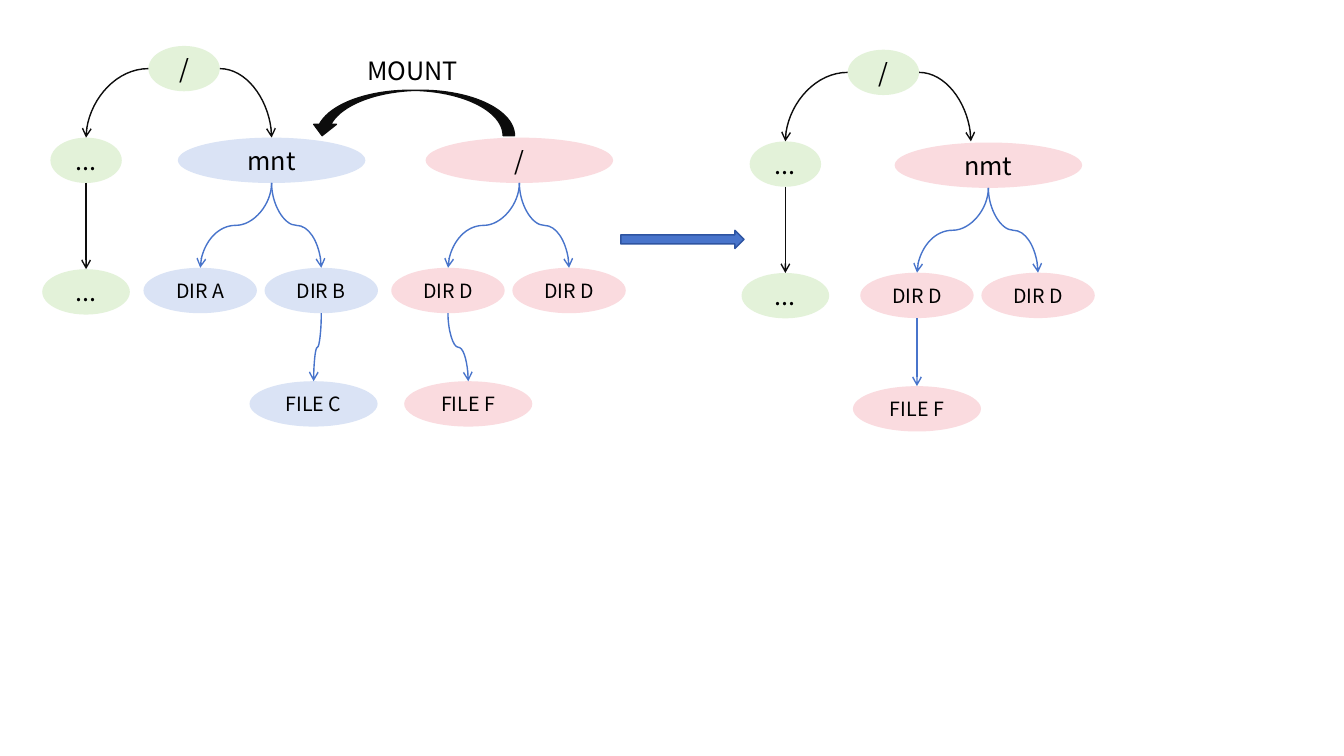
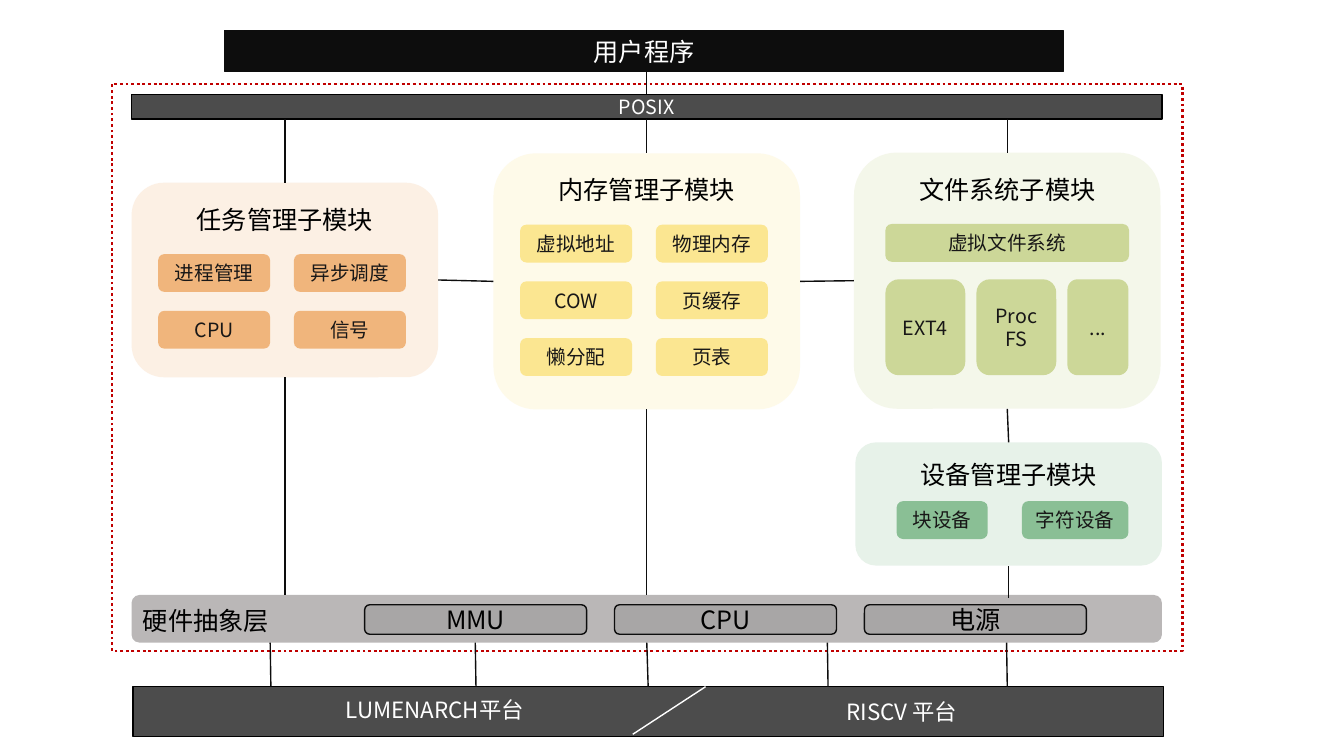
from dataclasses import dataclass
from itertools import product

from pptx import Presentation
from pptx import util as u
from pptx.dml import color
from pptx.enum import dml, shapes, text
from pptx.oxml import ns
from lxml import etree

FONT = "Noto Sans CJK JP"
BLACK, INK, WHITE = "000000", "0D0D0D", "FFFFFF"
CELL_TEXT, BAR, BLUE = "181717", "4C4C4C", "4874CB"
GREEN, PALE_BLUE, PINK = "E3F2D9", "DAE3F5", "FADBDF"
ORANGE, YELLOW, OLIVE, MINT = "F0B57C", "FBE691", "CCD798", "8ABF95"
KIND = shapes.MSO_SHAPE
NODE_H = 32.4
MODULE_W = 219


@dataclass
class Node:
    label: str
    x: float
    y: float
    w: float
    fill: str
    size: int = 14

    @property
    def top(self) -> tuple:
        return self.x, self.y - NODE_H / 2

    @property
    def bottom(self) -> tuple:
        return self.x, self.y + NODE_H / 2


@dataclass
class Tree:
    mount: str
    x: float
    y: float
    fill: str
    children: tuple
    leaf: str
    leaf_parent: int
    leaf_dx: float


@dataclass
class Cell:
    label: str
    x: float
    y: float
    w: float = 80
    h: float = 27


@dataclass
class Module:
    title: str
    x: float
    y: float
    h: float
    fill: str
    cells: list
    title_dy: float = 13


def rgb(value: str) -> color.RGBColor:
    return color.RGBColor.from_string(value)


def sub(parent, tag: str, **attrs: str):
    return etree.SubElement(parent, ns.qn(tag), attrs)


def write(sp, label: str, *, size: float = 14, ink: str = BLACK,
          align=text.PP_ALIGN.CENTER) -> None:
    tf = sp.text_frame
    tf.word_wrap = True
    tf.vertical_anchor = text.MSO_ANCHOR.MIDDLE
    tf.margin_top = tf.margin_bottom = 0
    p = tf.paragraphs[0]
    p.text = label
    p.alignment = align
    for r in p.runs:
        r.font.size = u.Pt(size)
        r.font.name = FONT
        r.font.color.rgb = rgb(ink)
        sub(r.font._element, "a:ea", typeface=FONT)


def label_box(s, label: str, x: float, y: float, w: float, h: float, **fmt):
    sp = s.shapes.add_textbox(u.Pt(x), u.Pt(y), u.Pt(w), u.Pt(h))
    write(sp, label, **fmt)
    return sp


def draw_shape(s, kind, x: float, y: float, w: float, h: float, *,
               fill: str = "", alpha: int = 100, line: str = "",
               weight: float = 1, label: str = "", **fmt):
    sp = s.shapes.add_shape(kind, u.Pt(x), u.Pt(y), u.Pt(w), u.Pt(h))
    sp.shadow.inherit = False
    if fill:
        sp.fill.solid()
        sp.fill.fore_color.rgb = rgb(fill)
        if alpha < 100:
            clr = sp._element.spPr.find(".//" + ns.qn("a:srgbClr"))
            sub(clr, "a:alpha", val=str(alpha * 1000))
    else:
        sp.fill.background()
    if line:
        sp.line.color.rgb = rgb(line)
        sp.line.width = u.Pt(weight)
    else:
        sp.line.fill.background()
    if label:
        write(sp, label, **fmt)
    return sp


def connect(s, start: tuple, end: tuple, *, ink: str = INK,
            kind=shapes.MSO_CONNECTOR.STRAIGHT, arrow: bool = False):
    cn = s.shapes.add_connector(kind, *(u.Pt(v) for v in (*start, *end)))
    cn.line.color.rgb = rgb(ink)
    cn.line.width = u.Pt(1)
    if arrow:
        sub(cn.line._get_or_add_ln(), "a:tailEnd", type="arrow")
    sub(cn._element.spPr, "a:effectLst")
    return cn


def bend(s, start: tuple, end: tuple) -> None:
    cn = connect(s, start, end, kind=shapes.MSO_CONNECTOR.CURVE, arrow=True)
    cn._element.spPr.find(ns.qn("a:prstGeom")).set("prst", "curvedConnector2")


def drop(s, start: tuple, end: tuple) -> None:
    cx, cy = (start[0] + end[0]) / 2, (start[1] + end[1]) / 2
    dx, dy = (end[0] - start[0]) / 2, (end[1] - start[1]) / 2
    if dx == 0:
        connect(s, start, end, ink=BLUE, arrow=True)
        return
    cn = connect(s, (cx - dy, cy + dx), (cx + dy, cy - dx), ink=BLUE,
                 kind=shapes.MSO_CONNECTOR.CURVE, arrow=True)
    cn._element.spPr.find(ns.qn("a:xfrm")).set("rot", "5400000")


def join(s, first, first_side: int, second, second_side: int) -> None:
    cn = connect(s, (0, 0), (1, 1))
    cn.begin_connect(first, first_side)
    cn.end_connect(second, second_side)


def draw_node(s, n: Node) -> None:
    draw_shape(s, KIND.OVAL, n.x - n.w / 2, n.y - NODE_H / 2, n.w, NODE_H,
               fill=n.fill, label=n.label, size=n.size)


def draw_system(s, dx: float, dy: float) -> None:
    root = Node("/", 131.5 + dx, 49 + dy, 51, GREEN, 18)
    other = Node("...", 61.5 + dx, 114.5 + dy, 51, GREEN, 18)
    below = Node("...", 61.5 + dx, 208.5 + dy, 62.6, GREEN, 18)
    for n in (root, other, below):
        draw_node(s, n)
    bend(s, (root.x - root.w / 2, root.y), other.top)
    bend(s, (root.x + root.w / 2, root.y), (194 + dx, other.top[1]))
    connect(s, other.bottom, below.top, arrow=True)


def draw_tree(s, t: Tree) -> None:
    mount = Node(t.mount, t.x, t.y, 134, t.fill, 18)
    kids = [Node(name, t.x + dx, t.y + 93, 81, t.fill)
            for name, dx in zip(t.children, (-51, 35.5))]
    leaf = Node(t.leaf, t.x + t.leaf_dx, t.y + 174, 91.5, t.fill)
    for n in (mount, *kids, leaf):
        draw_node(s, n)
    for kid in kids:
        drop(s, mount.bottom, kid.top)
    drop(s, kids[t.leaf_parent].bottom, leaf.top)


def grid(*labels: str) -> list:
    places = product(range(3), range(2))
    return [Cell(label, 19 + 97 * col, 51 + 40.5 * row)
            for label, (row, col) in zip(labels, places)]


def draw_module(s, m: Module):
    panel = draw_shape(s, KIND.ROUNDED_RECTANGLE, m.x, m.y, MODULE_W, m.h,
                       fill=m.fill, alpha=20)
    label_box(s, m.title, m.x + 22.5, m.y + m.title_dy, 174, 26, size=18)
    for c in m.cells:
        draw_shape(s, KIND.ROUNDED_RECTANGLE, m.x + c.x, m.y + c.y, c.w, c.h,
                   fill=m.fill, label=c.label, ink=CELL_TEXT)
    return panel


def mount_slide(s) -> None:
    for dx, dy in ((0, 0), (499.5, 2.7)):
        draw_system(s, dx, dy)
    dirs = ("DIR D", "DIR D")
    for t in (
        Tree("mnt", 194, 114.5, PALE_BLUE, ("DIR A", "DIR B"), "FILE C", 1, 30),
        Tree("/", 371, 114.5, PINK, dirs, "FILE F", 0, -36.5),
        Tree("nmt", 706, 118, PINK, dirs, "FILE F", 0, -51),
    ):
        draw_tree(s, t)
    sp = draw_shape(s, KIND.CURVED_DOWN_ARROW, 222, 64.5, 145.5, 32.4,
                    fill=INK, line=INK)
    sp._element.spPr.find(ns.qn("a:xfrm")).set("flipH", "1")
    label_box(s, "MOUNT", 249, 36, 91.5, 29, size=18)
    draw_shape(s, KIND.RIGHT_ARROW, 443.5, 164.5, 88, 13,
               fill=BLUE, line="2E54A1")


def kernel_slide(s) -> None:
    platform = draw_shape(s, KIND.RECTANGLE, 95, 490.5, 736, 35.5,
                          fill=BAR, line=BLACK)
    connect(s, (504, 490.5), (452, 524.5), ink=WHITE)
    left = text.PP_ALIGN.LEFT
    for label, x, y, w in (("LUMENARCH平台", 240, 493.5, 152),
                           ("RISCV 平台", 597.5, 495, 132.5)):
        label_box(s, label, x, y, w, 26.5, size=16, ink=WHITE, align=left)

    frame = draw_shape(s, KIND.RECTANGLE, 80, 60, 764.5, 405,
                       line="C00000", weight=2)
    frame.line.dash_style = dml.MSO_LINE.ROUND_DOT
    posix = draw_shape(s, KIND.RECTANGLE, 94, 67.5, 736, 17.5, fill=BAR,
                       line=BLACK, label="POSIX", ink=WHITE)
    draw_shape(s, KIND.RECTANGLE, 160.5, 22, 599, 29, fill=INK,
               line=INK, label="用户程序", size=18, ink=WHITE)

    task, memory, files, device = (draw_module(s, m) for m in (
        Module("任务管理子模块", 94, 130.5, 139, ORANGE,
               grid("进程管理", "异步调度", "CPU", "信号")),
        Module("内存管理子模块", 352.5, 109.5, 183, YELLOW,
               grid("虚拟地址", "物理内存", "COW", "页缓存", "懒分配", "页表")),
        Module("文件系统子模块", 610, 109, 183, OLIVE, [
            Cell("虚拟文件系统", 22.5, 51, 174),
            Cell("EXT4", 22.5, 90.5, 57, 68.5),
            Cell("Proc\vFS", 87.5, 90.5, 57, 68.5),
            Cell("...", 152.5, 90.5, 43.5, 68.5)]),
        Module("设备管理子模块", 611, 316, 88, MINT, [
            Cell("块设备", 29.5, 42, 65), Cell("字符设备", 119, 42, 76)], 10),
    ))

    hal = draw_shape(s, KIND.ROUNDED_RECTANGLE, 94, 425, 736, 34,
                     fill="767171", alpha=50)
    label_box(s, "硬件抽象层", 95, 429, 128, 29, size=18, align=left)
    for i, label in enumerate(("MMU", "CPU", "电源")):
        draw_shape(s, KIND.ROUNDED_RECTANGLE, 260.5 + 178.5 * i, 432, 158.5, 21,
                   fill="808080", alpha=30, line=INK, label=label, size=18)

    for link in ((posix, 2, memory, 0),
                 (memory, 1, task, 3), (files, 1, memory, 3),
                 (hal, 0, memory, 2), (device, 0, files, 2),
                 (platform, 0, hal, 2)):
        join(s, *link)
    for x, y, panel, side in ((462, 51, posix, 0),
                              (203.5, 85, task, 0), (203.5, 425, task, 2),
                              (719.5, 85, files, 0), (720.5, 427, device, 2)):
        connect(s, (x, y), (x, y + 1)).end_connect(panel, side)
    for x in (193, 339.5, 591, 719):
        connect(s, (x + 0.5, 490.5), (x, 459))


def main() -> None:
    prs = Presentation()
    prs.slide_width, prs.slide_height = u.Pt(960), u.Pt(540)
    for build in (mount_slide, kernel_slide):
        build(prs.slides.add_slide(prs.slide_layouts[6]))
    prs.save("out.pptx")


if __name__ == "__main__":
    main()
